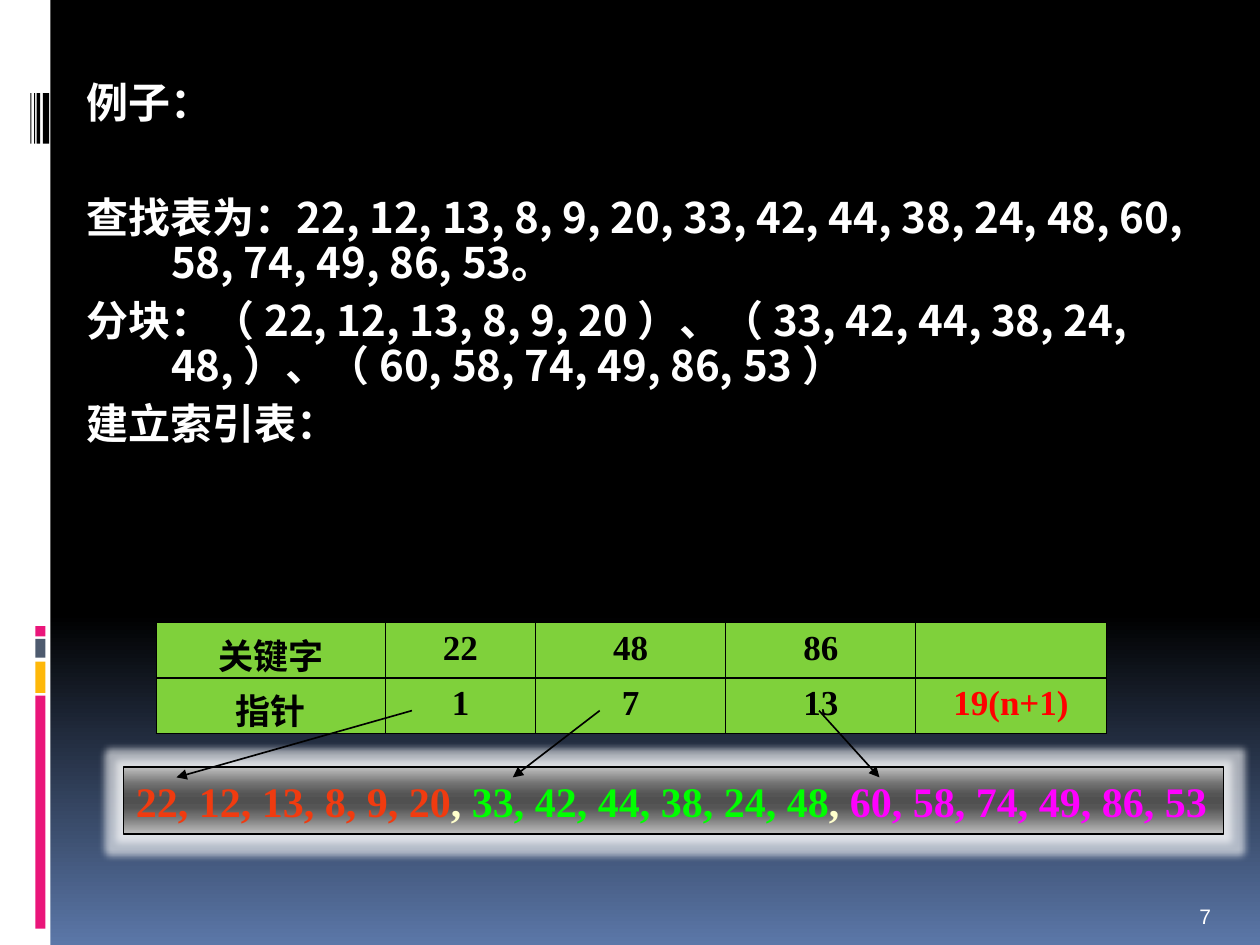
from pptx import Presentation
from pptx.dml.color import RGBColor
from pptx.enum.shapes import MSO_CONNECTOR as Connector, MSO_SHAPE as Shape
from pptx.enum.text import MSO_ANCHOR as Anchor, PP_ALIGN as Align
from pptx.oxml import parse_xml
from pptx.oxml.ns import nsdecls, qn
from pptx.util import Inches, Pt
from lxml.etree import SubElement

rgb = RGBColor.from_string
CJK_FONT = "Noto Sans CJK SC"


def set_gradient(fill, element, stops):
    """Vertical gradient from (percent, colour) stops, top to bottom."""
    fill.gradient()
    fill.gradient_angle = 270
    stop_list = next(element.iter(qn("a:gsLst")))
    for old in list(stop_list):
        stop_list.remove(old)
    for percent, color in stops:
        stop = SubElement(stop_list, qn("a:gs"), pos=str(percent * 1000))
        SubElement(stop, qn("a:srgbClr"), val=color)


def set_font(font, size, name, color, bold=True):
    font.size, font.name, font.bold = Pt(size), name, bold
    font.color.rgb = rgb(color)


prs = Presentation()
prs.slide_width, prs.slide_height = Inches(10), Inches(7.5)
slide = prs.slides.add_slide(prs.slide_layouts[6])
shapes = slide.shapes

# Background
set_gradient(slide.background.fill, slide.element,
             [(0, "000000"), (65, "000000"), (100, "5B77A8")])

# Side strip with its coloured bars and barcode lines
side_bars = [
    (0, 0, 0.4, 7.5, "FFFFFF"),
    (0.28, 5.52, 0.08, 1.85, "EA157A"),
    (0.28, 5.25, 0.08, 0.25, "FEB80A"),
    (0.28, 5.07, 0.08, 0.15, "4E5B6F"),
    (0.28, 4.97, 0.08, 0.08, "EA157A"),
]
side_bars += [(x, 0.74, width, 0.4, "000000")
              for x, width in [(0.34, 0.05), (0.29, 0.03), (0.27, 0.01), (0.24, 0.01)]]
for *place, color in side_bars:
    bar = shapes.add_shape(Shape.RECTANGLE, *map(Inches, place))
    bar.shadow.inherit = False
    bar.fill.solid()
    bar.fill.fore_color.rgb = rgb(color)
    bar.line.fill.background()

# Example text: (space before, text)
example_lines = [
    (0, "例子："),
    (40, "查找表为：22, 12, 13, 8, 9, 20, 33, 42, 44, 38, 24, 48, 60, 58, 74, 49, 86, 53。"),
    (7, "分块：（ 22, 12, 13, 8, 9, 20 ）、（ 33, 42, 44, 38, 24, 48, ）、（ 60, 58, 74, 49, 86, 53 ）"),
    (7, "建立索引表："),
]
example = shapes.add_textbox(Inches(0.59), Inches(0.6), Inches(9.14), Inches(4.17)).text_frame
example.word_wrap = True
for i, (space, text) in enumerate(example_lines):
    para = example.add_paragraph() if i else example.paragraphs[0]
    para.text = text
    para.line_spacing = 0.9
    para.space_before = Pt(space)
    props = para._p.get_or_add_pPr()
    props.set("marL", str(Inches(0.67)))
    props.set("indent", str(-Inches(0.67)))
    set_font(para.font, 24, CJK_FONT, "FFFFFF")

# Index table
index_rows = [
    ["关键字", "22", "48", "86", ""],
    ["指针", "1", "7", "13", "19(n+1)"],
]
index = shapes.add_table(2, 5, Inches(1.24), Inches(4.94), Inches(7.52), Inches(0.87)).table
for column, width in zip(index.columns, [1.82, 1.19, 1.51, 1.51, 1.51]):
    column.width = Inches(width)
for r, row in enumerate(index_rows):
    index.rows[r].height = Inches(0.44)
    for c, text in enumerate(row):
        cell = index.cell(r, c)
        cell.margin_left = cell.margin_right = 0
        cell_props = cell._tc.get_or_add_tcPr()
        for side, points in [("L", 0.75), ("R", 0.75), ("T", 1), ("B", 1)]:
            cell_props.append(parse_xml(
                f'<a:ln{side} {nsdecls("a")} w="{Pt(points)}"><a:solidFill>'
                f'<a:srgbClr val="000000"/></a:solidFill></a:ln{side}>'))
        cell.fill.solid()
        cell.fill.fore_color.rgb = rgb("7FD13B")
        para = cell.text_frame.paragraphs[0]
        para.text = text
        para.alignment = Align.CENTER
        set_font(para.font, 20, "Times New Roman",
                 "FF0000" if text == "19(n+1)" else "000000")

# Slide number
number = shapes.add_textbox(Inches(9.42), Inches(7.02), Inches(0.5), Inches(0.4)).text_frame
number.vertical_anchor = Anchor.BOTTOM
number.text = "7"
set_font(number.paragraphs[0].font, 12, "Arial", "FFFFFF", bold=False)

# Blocked sequence in a glowing bar
sequence = shapes.add_shape(Shape.RECTANGLE, Inches(0.98), Inches(6.09), Inches(8.73), Inches(0.53))
set_gradient(sequence.fill, sequence._element,
             [(0, "C0C0C0"), (25, "707070"), (40, "555555"), (50, "505050"),
              (60, "555555"), (75, "767676"), (100, "C0C0C0")])
sequence.line.color.rgb = rgb("000000")
sequence.line.width = Pt(0.94)
sequence.shadow.inherit = False
effects = sequence._element.spPr.find(qn("a:effectLst"))
effects.append(parse_xml(
    f'<a:glow {nsdecls("a")} rad="{Inches(0.11)}"><a:srgbClr val="FFFFFF">'
    '<a:alpha val="60000"/></a:srgbClr></a:glow>'))
sequence.text_frame.word_wrap = False
para = sequence.text_frame.paragraphs[0]
para.alignment = Align.LEFT
for text, color in [("22, 12, 13, 8, 9, 20", "F03B10"), (", ", "FFFFCC"),
                    ("33, 42, 44, 38, 24, 48", "00FF00"), (", ", "FFFFCC"),
                    ("60, 58, 74, 49, 86, 53", "FF00FF")]:
    run = para.add_run()
    run.text = text
    set_font(run.font, 24, "Times New Roman", color)

# Pointers from the index to the start of each block
for start, end in [(3.27, 1.4), (4.76, 4.07), (6.5, 6.98)]:
    pointer = shapes.add_connector(Connector.STRAIGHT, Inches(start), Inches(5.64),
                                   Inches(end), Inches(6.17))
    pointer.line.color.rgb = rgb("000000")
    pointer.line.width = Pt(0.94)
    SubElement(pointer.line._get_or_add_ln(), qn("a:tailEnd"), type="triangle")
    SubElement(pointer._element.spPr, qn("a:effectLst"))

# East Asian typeface for the Chinese text
for latin in list(slide.element.iter(qn("a:latin"))):
    latin.addnext(parse_xml(f'<a:ea {nsdecls("a")} typeface="{CJK_FONT}"/>'))

prs.save("out.pptx")
